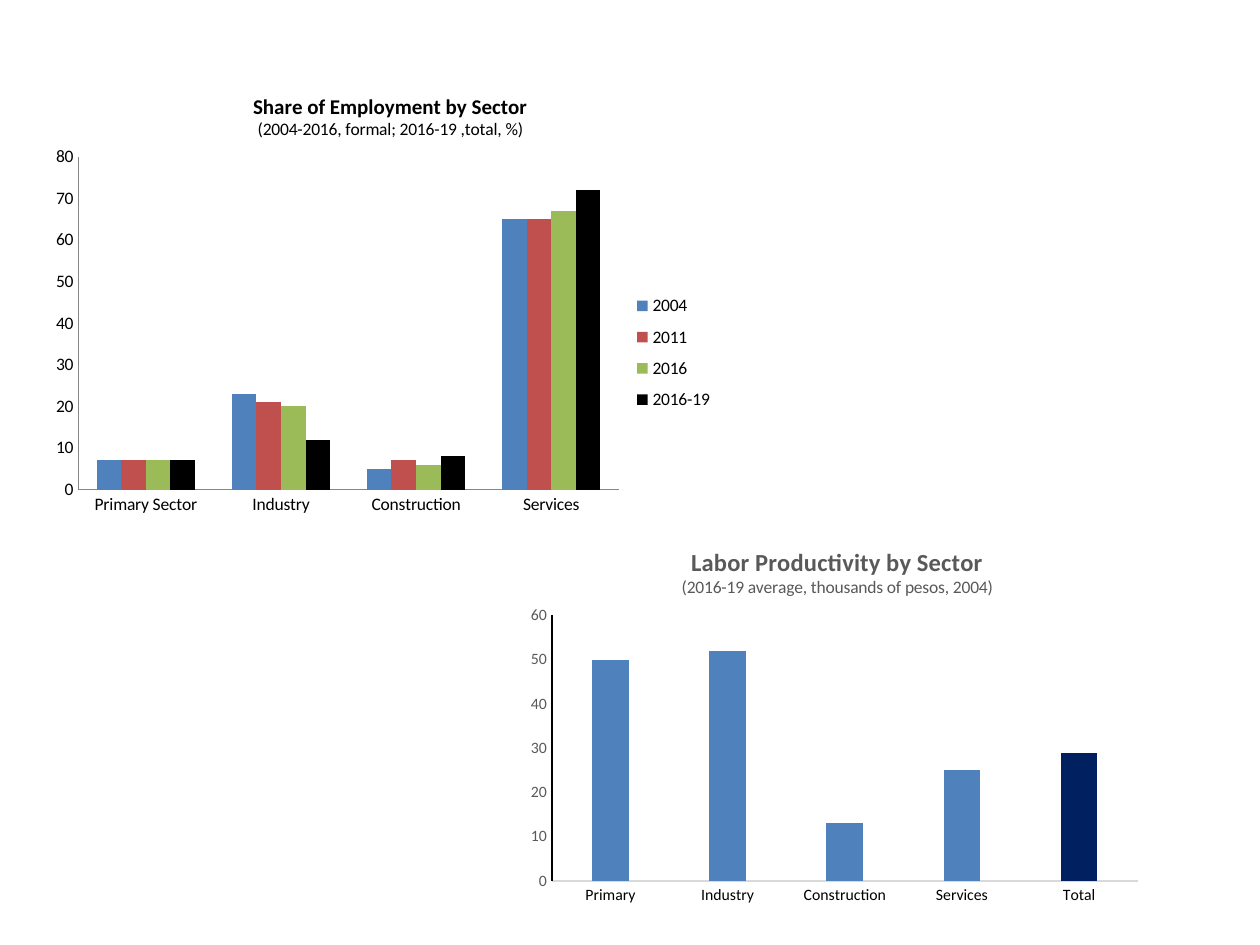
import pptx
import pptx.chart.data
import pptx.dml.color
import pptx.enum.chart
import pptx.oxml
import pptx.oxml.ns
import pptx.util

COLORS = {
    "blue": "4F81BD", "red": "C0504D", "green": "9BBB59", "black": "000000",
    "navy": "002060", "gray": "595959", "axis": "868686", "pale": "D9D9D9",
}
FONT = "Calibri"


def rgb(name):
    return pptx.dml.color.RGBColor.from_string(COLORS[name])


def style_font(font, size, color, bold=False):
    font.name = FONT
    font.size = pptx.util.Pt(size)
    font.bold = bold
    font.color.rgb = rgb(color)


def set_layout(parent, index, shares, inner=False):
    """Place a chart part by shares of the chart's box: x, y and maybe w, h."""
    for old in parent.findall(pptx.oxml.ns.qn("c:layout")):
        parent.remove(old)
    target = '<c:layoutTarget val="inner"/>' if inner else ""
    modes = '<c:xMode val="edge"/><c:yMode val="edge"/>'
    sizes = "".join(f'<c:{key} val="{share}"/>' for key, share in zip("xywh", shares))
    parent.insert(index, pptx.oxml.parse_xml(
        f'<c:layout {pptx.oxml.ns.nsdecls("c")}><c:manualLayout>'
        f"{target}{modes}{sizes}</c:manualLayout></c:layout>"))


def add_title(chart, lines, color, place):
    """lines holds (text, size, bold), one for each paragraph."""
    chart.has_title = True
    frame = chart.chart_title.text_frame
    for number, (text, size, bold) in enumerate(lines):
        para = frame.paragraphs[0] if number == 0 else frame.add_paragraph()
        span = para.add_run()
        span.text = text
        style_font(span.font, size, color, bold)
    chart.chart_title.include_in_layout = False
    set_layout(chart.chart_title._element, 1, place)


def style_axis(axis, size, text_color, line_color):
    axis.has_major_gridlines = False
    axis.major_tick_mark = axis.minor_tick_mark = pptx.enum.chart.XL_TICK_MARK.NONE
    style_font(axis.tick_labels.font, size, text_color)
    axis.format.line.color.rgb = rgb(line_color)
    axis.format.line.width = pptx.util.Pt(0.75)


def add_columns(page, box, categories, series, colors, gap, overlap, top, plot_place):
    """Add a clustered column chart in box (left, top, width, height in inches)."""
    data = pptx.chart.data.CategoryChartData(number_format="0")
    data.categories = categories
    for name, values in series:
        data.add_series(name, values)
    chart = page.shapes.add_chart(
        pptx.enum.chart.XL_CHART_TYPE.COLUMN_CLUSTERED,
        *(pptx.util.Inches(length) for length in box), data).chart
    style_font(chart.font, 10, "black")
    chart.has_legend = False
    plot = chart.plots[0]
    plot.vary_by_categories = False
    plot.gap_width = gap
    plot.overlap = overlap
    for one, color in zip(plot.series, colors):
        one.format.fill.solid()
        one.format.fill.fore_color.rgb = rgb(color)
    chart.value_axis.minimum_scale = 0
    chart.value_axis.maximum_scale = top
    chart.value_axis.major_unit = 10
    set_layout(chart._chartSpace.xpath("c:chart/c:plotArea")[0], 0, plot_place, inner=True)
    return chart


def add_employment(page, box):
    chart = add_columns(
        page, box, ["Primary Sector", "Industry", "Construction", "Services"],
        [("2004", (7, 23, 5, 65)), ("2011", (7, 21, 7, 65)),
         ("2016", (7, 20, 6, 67)), ("2016-19", (7, 12, 8, 72))],
        ["blue", "red", "green", "black"], 150, 0, 80, (0.05, 0.2, 0.79, 0.73))
    add_title(chart, [("Share of Employment by Sector", 12, True),
                      ("(2004-2016, formal; 2016-19 ,total, %)", 10, False)],
              "black", (0.3, 0.05))
    for axis in (chart.category_axis, chart.value_axis):
        style_axis(axis, 10, "black", "axis")
    # Legend on the right
    chart.has_legend = True
    chart.legend.position = pptx.enum.chart.XL_LEGEND_POSITION.RIGHT
    chart.legend.include_in_layout = False
    style_font(chart.legend.font, 10, "black")
    set_layout(chart.legend._element, 1, (0.85, 0.48, 0.14, 0.3))


def add_productivity(page, box):
    chart = add_columns(
        page, box, ["Primary", "Industry", "Construction", "Services", "Total"],
        [("Series 1", (50, 52, 13, 25, 29))],
        ["blue"], 219, -27, 60, (0.05, 0.24, 0.93, 0.68))
    add_title(chart, [("Labor Productivity by Sector", 14, True),
                      ("(2016-19 average, thousands of pesos, 2004)", 10, False)],
              "gray", (0.25, 0.05))
    style_axis(chart.category_axis, 9, "black", "pale")
    style_axis(chart.value_axis, 9, "gray", "black")
    # The total stands out
    total = chart.plots[0].series[0].points[4].format.fill
    total.solid()
    total.fore_color.rgb = rgb("navy")


def main():
    deck = pptx.Presentation()
    deck.slide_width = pptx.util.Inches(10)
    deck.slide_height = pptx.util.Inches(7.5)
    page = deck.slides.add_slide(deck.slide_layouts[6])
    add_employment(page, (0.35, 0.52, 5.43, 3.62))
    add_productivity(page, (4.13, 4.14, 5, 3.1))
    deck.save("out.pptx")


if __name__ == "__main__":
    main()
